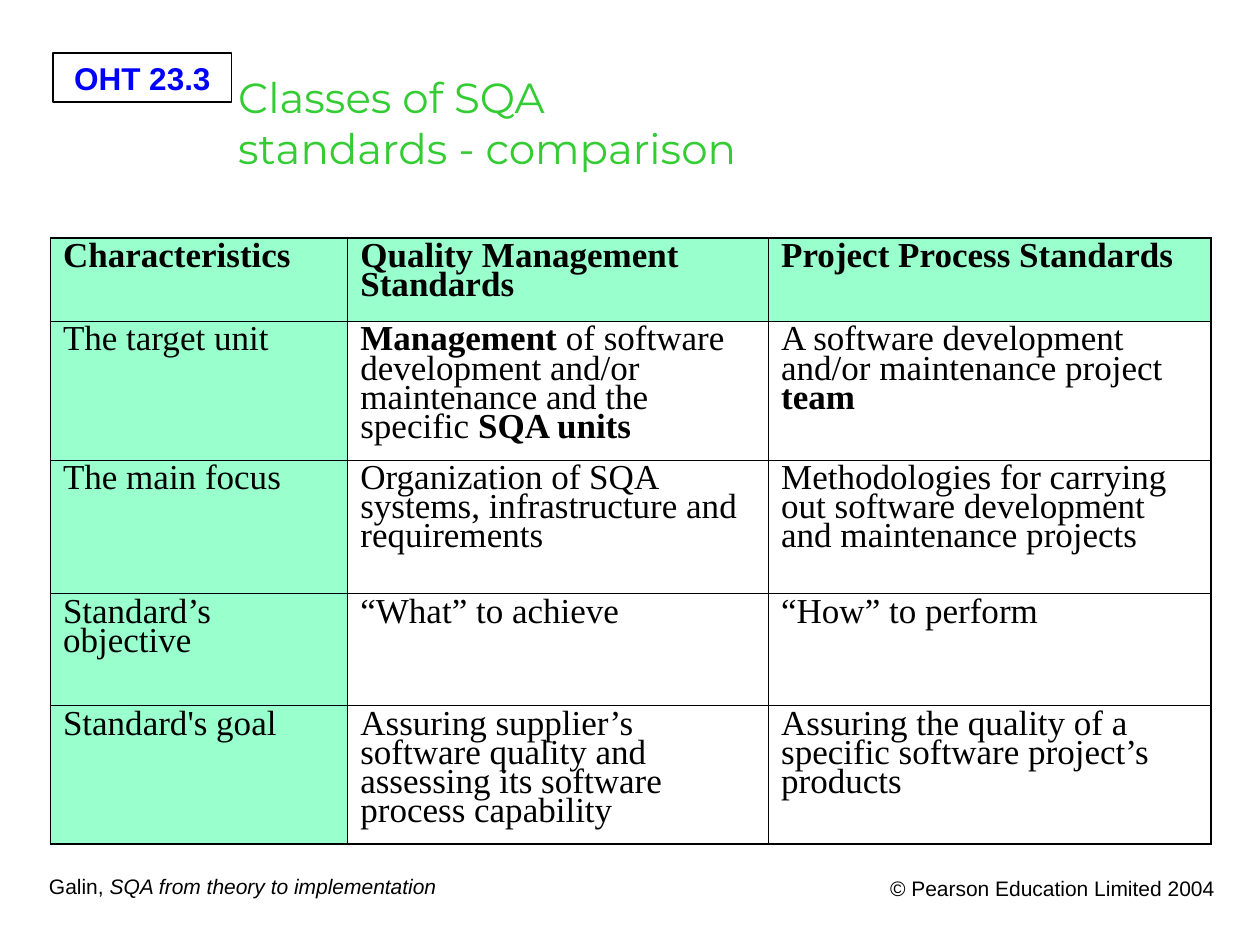
from lxml import etree
from pptx import Presentation
from pptx.dml.color import RGBColor
from pptx.enum import shapes, text
from pptx.oxml import ns
from pptx.util import Inches, Pt

HUES = {"ink": "000000", "blue": "0000FF", "green": "33CC33", "mint": "99FFCC"}
ALIGN = text.PP_ALIGN
THIN, THICK = 0.45, 1.08

COLS = [2.36, 3.34, 3.51]
# Row height, then the cells; *stars* mark bold words
ROWS = [
    (0.66, ["*Characteristics*", "*Quality Management Standards*",
            "*Project Process Standards*"]),
    (1.1, ["The target unit",
           "*Management* of software development and/or maintenance "
           "and the specific *SQA units*",
           "A software development and/or maintenance project *team*"]),
    (1.06, ["The main focus",
            "Organization of SQA systems, infrastructure and requirements",
            "Methodologies for carrying out software development "
            "and maintenance projects"]),
    (0.89, ["Standard’s objective", "“What” to achieve", "“How” to perform"]),
    (1.1, ["Standard's goal",
           "Assuring supplier’s software quality and assessing its software "
           "process capability",
           "Assuring the quality of a specific software project’s products"]),
]


def rgb(name):
    return RGBColor.from_string(HUES[name])


def write(frame, words, size=12, font="Arial", hue="ink", bold=False,
          mark="bold", align=ALIGN.LEFT, wrap=True, space=None):
    """Fill a frame line by line; parts between stars get the mark style."""
    frame.word_wrap = wrap
    for i, line in enumerate(words.split("\n")):
        para = frame.add_paragraph() if i else frame.paragraphs[0]
        para.alignment = align
        if space:
            para.line_spacing = space
        for j, part in enumerate(line.split("*")):
            if not part:
                continue
            run = para.add_run()
            run.text = part
            run.font.size = Pt(size)
            run.font.name = font
            run.font.color.rgb = rgb(hue)
            run.font.bold = bold
            if j % 2:
                setattr(run.font, mark, True)


def edge(cell, side, width):
    line = etree.SubElement(cell._tc.get_or_add_tcPr(), ns.qn("a:ln" + side),
                            w=str(Pt(width)))
    fill = etree.SubElement(line, ns.qn("a:solidFill"))
    etree.SubElement(fill, ns.qn("a:srgbClr"), val=HUES["ink"])


def add_badge(slide, box):
    badge = slide.shapes.add_shape(shapes.MSO_SHAPE.RECTANGLE, *box)
    badge.shadow.inherit = False
    badge.fill.background()
    badge.line.color.rgb = rgb("ink")
    badge.line.width = Pt(0.75)
    write(badge.text_frame, "OHT 23.3", size=18, hue="blue", bold=True,
          align=ALIGN.CENTER, wrap=False)


def add_title(slide, box):
    title = slide.shapes.title
    title.left, title.top, title.width, title.height = box
    frame = title.text_frame
    frame.auto_size = text.MSO_AUTO_SIZE.NONE
    frame.vertical_anchor = text.MSO_ANCHOR.TOP
    write(frame, "Classes of SQA\nstandards - comparison", size=24,
          font="Montserrat", hue="green", wrap=False)


def add_grid(slide, box):
    grid = slide.shapes.add_table(len(ROWS), len(COLS), *box).table
    grid.first_row = grid.horz_banding = False
    for col, width in zip(grid.columns, COLS):
        col.width = Inches(width)
    last_row, last_col = len(ROWS) - 1, len(COLS) - 1
    for r, (height, cells) in enumerate(ROWS):
        grid.rows[r].height = Inches(height)
        for c, words in enumerate(cells):
            cell = grid.cell(r, c)
            write(cell.text_frame, words, size=20, font="Times New Roman",
                  space=0.75)
            # Thick outer frame, thin inner rules
            outer = {"L": c == 0, "R": c == last_col,
                     "T": r == 0, "B": r == last_row}
            for side, thick in outer.items():
                edge(cell, side, THICK if thick else THIN)
            # Shade the header row and the first column
            if r == 0 or c == 0:
                cell.fill.solid()
                cell.fill.fore_color.rgb = rgb("mint")
            else:
                cell.fill.background()


def add_note(slide, box, words, **fmt):
    note = slide.shapes.add_textbox(*box)
    write(note.text_frame, words, **fmt)


def area(*sides):
    return [Inches(n) for n in sides]


def main():
    deck = Presentation()
    deck.slide_width, deck.slide_height = Inches(10), Inches(7.5)
    slide = deck.slides.add_slide(deck.slide_layouts[5])
    add_badge(slide, area(0.42, 0.42, 1.42, 0.39))
    add_note(slide, area(0.29, 6.88, 3.28, 0.3),
             "Galin, *SQA from theory to implementation*",
             mark="italic", wrap=False)
    add_note(slide, area(6.64, 6.9, 3.1, 0.39),
             "© Pearson Education Limited 2004", align=ALIGN.RIGHT)
    add_grid(slide, area(0.4, 1.89, 9.21, 4.82))
    add_title(slide, area(1.79, 0.52, 6.4, 1.18))
    deck.save("out.pptx")


if __name__ == "__main__":
    main()
